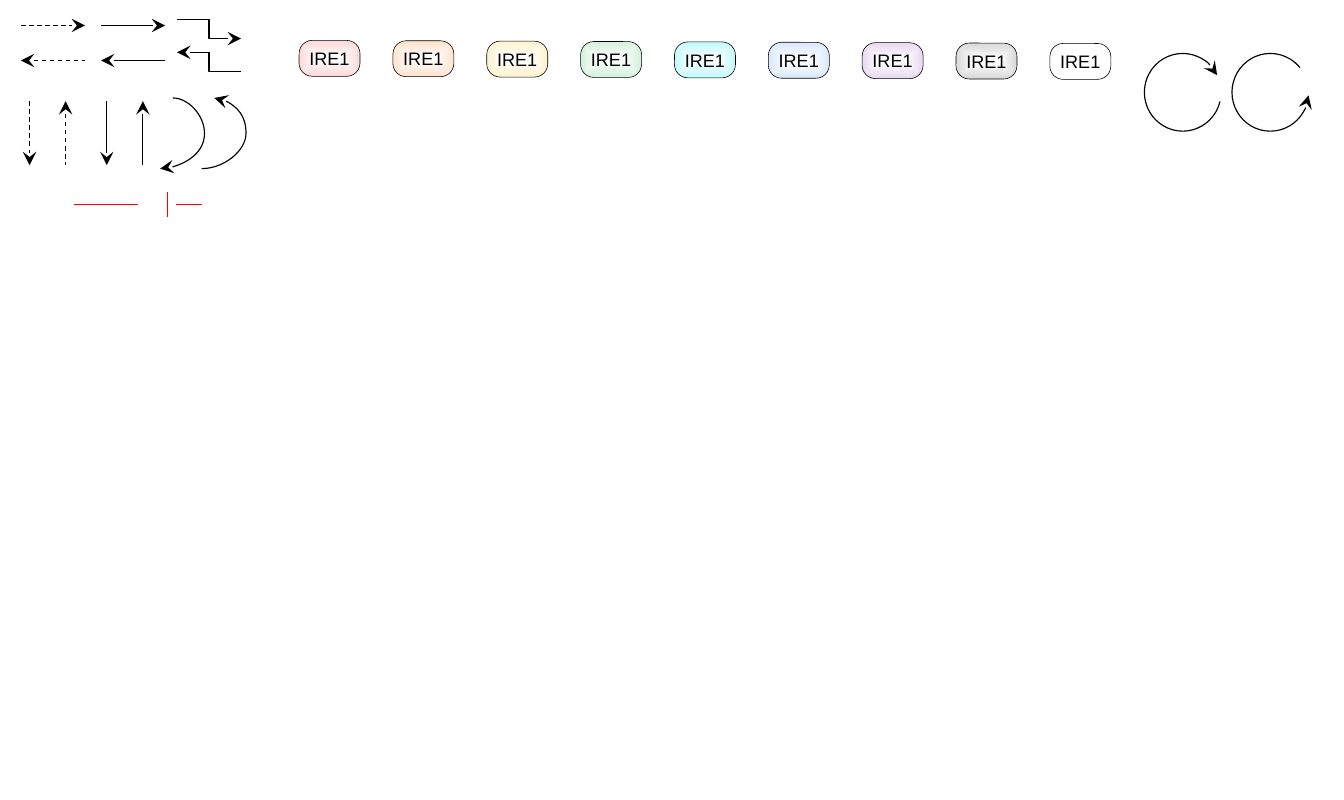
import pptx
import pptx.util
import pptx.dml.color
import pptx.enum.dml
import pptx.enum.shapes
import pptx.enum.text
import pptx.oxml.ns
from dataclasses import dataclass
from lxml import etree

Pt = pptx.util.Pt
RGB = pptx.dml.color.RGBColor.from_string
Form = pptx.enum.shapes.MSO_SHAPE
Link = pptx.enum.shapes.MSO_CONNECTOR
qn = pptx.oxml.ns.qn


@dataclass(frozen=True)
class Theme:
    font: str = "Arial"
    size: float = 8
    ink: str = "000000"
    core: str = "FFFFFF"
    stop: str = "FF0000"
    thin: float = 0.25
    line: float = 0.5
    tints: tuple = ("FBD9D7", "FFE1CC", "FEF2CD", "D3F1DB", "C1F9FB",
                    "D9E7FD", "E9D8F0", "D9D9D9", None)


def apply(item, form):
    for name, value in form.items():
        setattr(item, name, value)


def add(node, tag, **attrs):
    return etree.SubElement(node, qn(tag), attrs)


class Sheet:
    def __init__(self, slide, theme):
        self.shapes = slide.shapes
        self.theme = theme

    def stroke(self, item, color, width, head=False, tail=False, dash=False):
        item.line.width = Pt(width)
        item.line.color.rgb = RGB(color)
        if dash:
            item.line.dash_style = pptx.enum.dml.MSO_LINE.DASH
        pen = item.line._get_or_add_ln()
        for tag, shown in (("a:headEnd", head), ("a:tailEnd", tail)):
            if shown:
                add(pen, tag, type="stealth")

    def shape(self, kind, left, top, width, height, turns):
        item = self.shapes.add_shape(kind, Pt(left), Pt(top), Pt(width), Pt(height))
        item.shadow.inherit = False
        item.fill.background()
        for place, turn in enumerate(turns):
            item.adjustments[place] = turn
        return item

    def arc(self, left, top, width, height, turns, **ends):
        item = self.shape(Form.ARC, left, top, width, height, turns)
        self.stroke(item, self.theme.ink, self.theme.line, **ends)

    def glow(self, item, tint):
        """Fill from a white core out to the tint at the edges."""
        item.fill.gradient()
        for stop, color in zip(item.fill.gradient_stops, (self.theme.core, tint)):
            stop.color.rgb = RGB(color)
        grad = item._element.spPr.find(qn("a:gradFill"))
        grad.remove(grad.find(qn("a:lin")))
        track = add(grad, "a:path", path="shape")
        add(track, "a:fillToRect", l="50000", t="50000", r="50000", b="50000")

    def chip(self, left, top, width, height, text, tint):
        item = self.shape(Form.ROUNDED_RECTANGLE, left, top, width, height, [0.37])
        if tint:
            self.glow(item, tint)
        self.stroke(item, self.theme.ink, self.theme.thin)
        frame = item.text_frame
        apply(frame, {
            "margin_left": Pt(2.83), "margin_right": Pt(2.83),
            "margin_top": Pt(1.42), "margin_bottom": Pt(1.42),
            "word_wrap": False,
            "auto_size": pptx.enum.text.MSO_AUTO_SIZE.SHAPE_TO_FIT_TEXT,
            "vertical_anchor": pptx.enum.text.MSO_ANCHOR.MIDDLE,
        })
        line = frame.paragraphs[0]
        line.alignment = pptx.enum.text.PP_ALIGN.CENTER
        run = line.add_run()
        run.text = text
        apply(run.font, {"name": self.theme.font, "size": Pt(self.theme.size)})
        run.font.color.rgb = RGB(self.theme.ink)

    def link(self, start, end, kind=Link.STRAIGHT, color=None, bend=None, **ends):
        item = self.shapes.add_connector(kind, *map(Pt, start + end))
        self.stroke(item, color or self.theme.ink, self.theme.line, **ends)
        props = item._element.spPr
        add(props, "a:effectLst")
        if bend is not None:
            guides = props.find(qn("a:prstGeom")).get_or_add_avLst()
            add(guides, "a:gd", name="adj1", fmla=f"val {round(bend * 100000)}")


def main():
    deck = pptx.Presentation()
    apply(deck, {"slide_width": Pt(595.44), "slide_height": Pt(354.24)})
    theme = Theme()
    sheet = Sheet(deck.slides.add_slide(deck.slide_layouts[6]), theme)
    head, tail = {"head": True}, {"tail": True}

    # Open circles
    sheet.arc(545.8, 23.7, 34, 34.4, (2.7, 192.21), **head)
    sheet.arc(507, 23.7, 34, 34.4, (8.29, 200.12), **tail)

    # Row of protein labels, sinking slightly to the right
    for place, tint in enumerate(theme.tints):
        sheet.chip(132.5 + 41.58 * place, 17.9 + 0.17 * place, 27, 15.9, "IRE1", tint)

    # Straight arrows: dashed, then solid
    span = 28.35
    for left, dash in ((9.3, True), (44.8, False)):
        for top, ends in ((11.3, tail), (26.8, head)):
            sheet.link((left, top), (left + span, top), dash=dash, **ends)
    for left, dash in ((13.1, True), (47.3, False)):
        for gap, ends in ((0, tail), (16, head)):
            sheet.link((left + gap, 44.8), (left + gap, 44.8 + span), dash=dash, **ends)

    # Stepped and curved arrows
    for top, ends in ((8.6, tail), (23.2, head)):
        sheet.link((78.5, top), (106.8, top + 8.5), Link.ELBOW, **ends)
    for left, ends in ((76.6, tail), (95, head)):
        sheet.link((left, 43.4), (left - 5.6, 74.7), Link.CURVE, bend=-2.5, **ends)

    # Red bars
    for start, end in (((32.9, 90.6), (61.3, 90.6)),
                       ((74.2, 96.3), (74.2, 84.9)),
                       ((78, 90.6), (89.4, 90.6))):
        sheet.link(start, end, color=theme.stop)

    deck.save("out.pptx")


if __name__ == "__main__":
    main()
